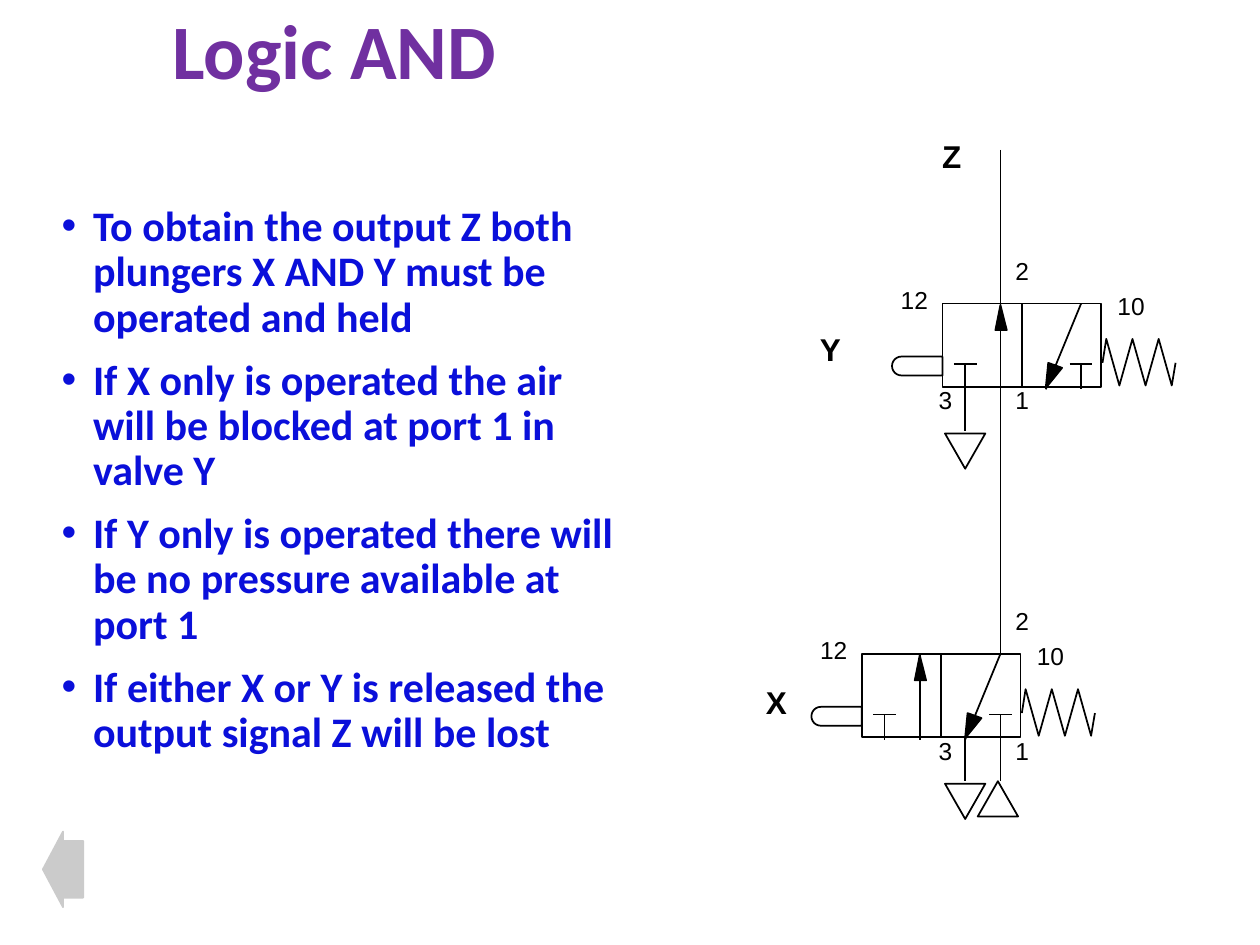
import math

from lxml import etree
from pptx import Presentation
from pptx import util as u
from pptx.dml.color import RGBColor
from pptx.enum import shapes, text
from pptx.oxml import ns

BLACK = RGBColor(0x00, 0x00, 0x00)
PURPLE = RGBColor(0x70, 0x30, 0xA0)
BLUE = RGBColor(0x0A, 0x0F, 0xDA)
GREY = RGBColor(0xCB, 0xCB, 0xCB)

VALVE_WIDTH, VALVE_HEIGHT = 1.26, 0.66
EXHAUST_X, MAIN_X = 7.66, 7.94
VALVE_X = (6.84, 5.19)
VALVE_Y = (7.48, 2.41)
BULLETS = [
    "To obtain the output Z both plungers X AND Y must be operated and held",
    "If X only is operated the air will be blocked at port 1 in valve Y",
    "If Y only is operated there will be no pressure available at port 1",
    "If either X or Y is released the output signal Z will be lost",
]


def write(paragraph, content, size=14, font="Arial", color=BLACK, bold=False,
          spacing=None, before=None, bullet=False):
    if bullet:
        properties = paragraph._p.get_or_add_pPr()
        properties.set("marL", str(u.Inches(0.25)))
        properties.set("indent", str(u.Inches(-0.25)))
        bullet_font = etree.SubElement(properties, ns.qn("a:buFont"))
        bullet_font.set("typeface", "Arial")
        etree.SubElement(properties, ns.qn("a:buChar")).set("char", "•")
    paragraph.alignment = text.PP_ALIGN.LEFT
    paragraph.line_spacing = spacing
    paragraph.space_before = before
    run = paragraph.add_run()
    run.text = content
    run.font.size = u.Pt(size)
    run.font.name = font
    run.font.bold = bold
    run.font.color.rgb = color


class Diagram:
    def __init__(self, slide, color=BLACK, weight=1):
        self.slide = slide
        self.shapes = slide.shapes
        self.color = color
        self.weight = u.Pt(weight)

    def title(self, content):
        shape = self.shapes.title
        shape.left, shape.top = u.Inches(1.27), u.Inches(0.03)
        shape.width, shape.height = u.Inches(7.47), u.Inches(0.81)
        shape.text_frame.vertical_anchor = text.MSO_ANCHOR.MIDDLE
        write(shape.text_frame.paragraphs[0], content, size=44, font="Calibri",
              color=PURPLE, bold=True, spacing=0.9)

    def bullets(self, items, left, top, width, height):
        box = self.shapes.add_textbox(*map(u.Inches, (left, top, width, height)))
        frame = box.text_frame
        frame.word_wrap = True
        for index, item in enumerate(items):
            paragraph = frame.add_paragraph() if index else frame.paragraphs[0]
            write(paragraph, item, size=24, font="Calibri", color=BLUE, bold=True,
                  spacing=0.9, before=u.Pt(10 if index else 0), bullet=True)

    def label(self, content, left, top, width=0.31, height=0.33, **style):
        box = self.shapes.add_textbox(*map(u.Inches, (left, top, width, height)))
        box.text_frame.word_wrap = False
        box.text_frame.auto_size = text.MSO_AUTO_SIZE.SHAPE_TO_FIT_TEXT
        write(box.text_frame.paragraphs[0], content, **style)

    def line(self, x1, y1, x2, y2):
        connector = self.shapes.add_connector(
            shapes.MSO_CONNECTOR.STRAIGHT, *map(u.Inches, (x1, y1, x2, y2)))
        connector.line.color.rgb = self.color
        connector.line.width = self.weight
        etree.SubElement(connector._element.spPr, ns.qn("a:effectLst"))
        return connector

    def paint(self, shape, fill=None, outline=None):
        shape.shadow.inherit = False
        if fill is None:
            shape.fill.background()
        else:
            shape.fill.solid()
            shape.fill.fore_color.rgb = fill
        shape.line.color.rgb = outline or self.color
        shape.line.width = self.weight

    def preset(self, kind, left, top, width, height, **colors):
        shape = self.shapes.add_shape(
            kind, *map(u.Inches, (left, top, width, height)))
        self.paint(shape, **colors)
        return shape

    def outline(self, points, close=True, fill=None):
        corners = [(u.Inches(x), u.Inches(y)) for x, y in points]
        builder = self.shapes.build_freeform(*corners[0])
        builder.add_line_segments(corners[1:], close=close)
        self.paint(builder.convert_to_shape(), fill=fill)

    def port_triangle(self, left, top, rotation=0):
        shape = self.preset(shapes.MSO_SHAPE.ISOSCELES_TRIANGLE, left, top, 0.32, 0.28)
        shape.rotation = rotation

    def valve(self, left, top):
        """Draw a 3/2 valve with plunger, spring, exhaust and port numbers."""
        def place(points):
            return [(left + x, top + y) for x, y in points]

        body = self.preset(shapes.MSO_SHAPE.RECTANGLE, left, top,
                           VALVE_WIDTH, VALVE_HEIGHT)
        middle = left + VALVE_WIDTH / 2
        divider = self.line(middle, top, middle, top + VALVE_HEIGHT)
        divider.begin_connect(body, 0)
        divider.end_connect(body, 2)

        for stem in (left + 0.18, left + 1.10):
            self.line(stem, top + 0.48, stem, top + 0.68)
            self.line(stem - 0.09, top + 0.48, stem + 0.09, top + 0.48)

        self.line(left + 0.46, top + 0.68, left + 0.46, top)
        self.line(left + 1.10, top, left + 0.82, top + 0.68)
        self.outline(place([(0.46, 0.01), (0.42, 0.21), (0.51, 0.21)]), fill=BLACK)
        self.outline(place([(0.82, 0.67), (0.84, 0.47), (0.95, 0.51)]), fill=BLACK)

        zigzag = [(1.30 + 0.104 * step, 0.65 if step % 2 else 0.28)
                  for step in range(6)]
        self.outline(place([(1.27, 0.47), *zigzag, (1.85, 0.47)]), close=False)

        radius = 0.075
        angles = [math.radians(90 + 15 * step) for step in range(13)]
        cap = [(-0.325 + radius * math.cos(a), 0.495 + radius * math.sin(a))
               for a in angles]
        self.outline(place([(0, 0.42), (0, 0.57), *cap]))

        self.line(EXHAUST_X, top + 0.67, EXHAUST_X, top + 1.01)
        self.port_triangle(EXHAUST_X - 0.16, top + 1.03, rotation=180)

        self.label("12", left - 0.43, top - 0.20, width=0.42)
        self.label("10", left + 1.29, top - 0.15, width=0.42)
        self.label("2", 7.96, top - 0.43)
        self.label("1", 7.96, top + 0.60)
        self.label("3", 7.35, top + 0.60)


def main():
    presentation = Presentation()
    presentation.slide_width = u.Inches(10)
    presentation.slide_height = u.Inches(7.5)
    slide = presentation.slides.add_slide(presentation.slide_layouts[5])
    diagram = Diagram(slide)

    diagram.title("Logic AND")
    diagram.bullets(BULLETS, 0.39, 1.58, 4.58, 4.92)

    for corner in (VALVE_X, VALVE_Y):
        diagram.valve(*corner)

    top_x, top_y = VALVE_X[1], VALVE_Y[1]
    diagram.line(MAIN_X, 1.19, MAIN_X, top_y)
    diagram.line(MAIN_X, top_y + VALVE_HEIGHT, MAIN_X, top_x)
    diagram.line(MAIN_X, top_x + VALVE_HEIGHT, MAIN_X, 6.2)
    diagram.port_triangle(7.76, 6.2)

    for name, left, top in (("X", 5.98, 5.37), ("Y", 6.41, 2.57), ("Z", 7.38, 1.04)):
        diagram.label(name, left, top, width=0.37, height=0.4, size=18, bold=True)

    back_arrow = diagram.preset(shapes.MSO_SHAPE.LEFT_ARROW, 0.34, 6.6, 0.32, 0.6,
                                fill=GREY, outline=GREY)
    back_arrow.adjustments[0] = 0.75
    back_arrow.adjustments[1] = 0.5

    presentation.save("out.pptx")


if __name__ == "__main__":
    main()
